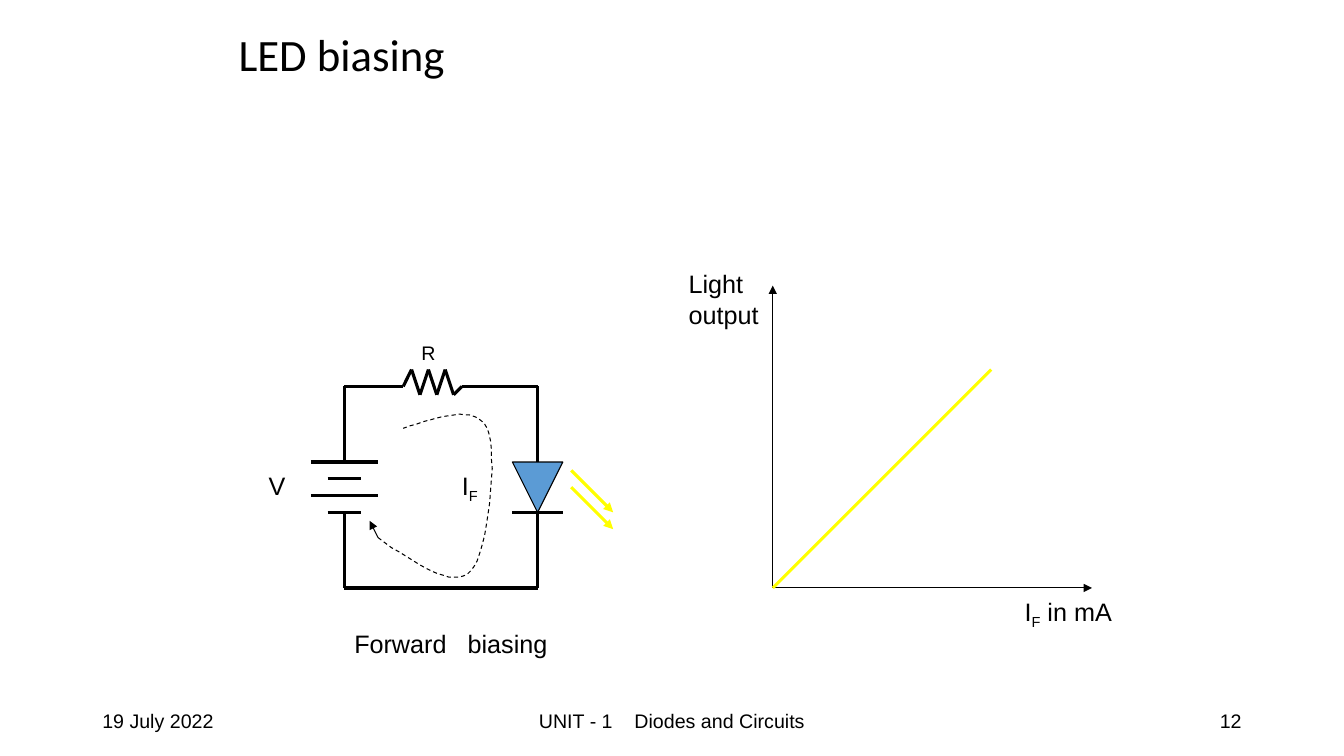
from itertools import pairwise
from pptx import Presentation, util as u
from pptx.dml.color import RGBColor
from pptx.enum import dml, shapes, text
from pptx.oxml.ns import qn
from lxml import etree

# Content: lengths in px, 120 px to the inch
PX = 7620
INK = {"black": "000000", "blue": "5B9BD5", "yellow": "FFFF00"}
TITLE = "LED biasing"

# Each path is a chain of points joined by straight wires
ZIGZAG = [(490 + 10 * i, 470 if i % 2 else 440) for i in range(6)]
WIRES = [
    [(410, 550), (410, 460), (480, 460), *ZIGZAG, (550, 460), (640, 460), (640, 550)],
    [(410, 610), (410, 700), (640, 700), (640, 610)],
    [(610, 610), (670, 610)],
]
PLATES = [(550, 40), (570, 20), (590, 40), (610, 20)]  # y, half width
CELL_X = 410
DIODE = (610, 550, 60, 60)
RAYS = [560, 580]  # y where each light ray starts

LOOP = [(450, 640), (494, 671), (539, 702), (560, 680), (582, 659),
        (593, 539), (580, 510), (566, 481), (523, 496), (480, 510)]
TIP = [(450, 640), (440, 620)]

ORIGIN, X_END, Y_END, PLOT_END = (920, 700), (1300, 700), (920, 340), (1180, 440)

# Box, size, wrap, alignment, anchor, paragraphs; every second part is a subscript
LEFT, MID, RIGHT = text.PP_ALIGN.LEFT, text.PP_ALIGN.CENTER, text.PP_ALIGN.RIGHT
TOP, HALF = text.MSO_ANCHOR.TOP, text.MSO_ANCHOR.MIDDLE
LABELS = [
    ((538, 554, 44, 48), 18, False, LEFT, TOP, [("I", "F")]),
    ((490, 400, 50, 40), 14, True, LEFT, TOP, [("R",)]),
    ((410, 742, 254, 48), 18, False, LEFT, TOP, [("Forward   biasing",)]),
    ((308, 554, 44, 48), 18, False, LEFT, TOP, [("V",)]),
    ((1208, 704, 130, 48), 18, False, LEFT, TOP, [("I", "F", " in mA")]),
    ((808, 314, 108, 84), 18, False, LEFT, TOP, [("Light",), ("output",)]),
    ((110, 834, 360, 48), 14, True, LEFT, HALF, [("19 July 2022",)]),
    ((1130, 834, 360, 48), 14, True, RIGHT, HALF, [("12",)]),
    ((530, 834, 540, 48), 14, True, MID, HALF, [("UNIT - 1    Diodes and Circuits",)]),
]

deck = Presentation()
deck.slide_width, deck.slide_height = 1600 * PX, 900 * PX
slide = deck.slides.add_slide(deck.slide_layouts[5])


def emu(nums):
    return [n * PX for n in nums]


def rgb(name):
    return RGBColor.from_string(INK[name])


def pen(line, ink, width):
    line.color.rgb = rgb(ink)
    line.width = u.Pt(width)


def draw(start, end, ink="black", width=2.25, arrow=False):
    link = slide.shapes.add_connector(
        shapes.MSO_CONNECTOR.STRAIGHT, *emu(start), *emu(end))
    pen(link.line, ink, width)
    if arrow:
        etree.SubElement(link.line._get_or_add_ln(), qn("a:tailEnd"), type="triangle")
    etree.SubElement(link._element.spPr, qn("a:effectLst"))


def curve(pts, steps=16):
    """Points along a chain of cubic Bezier arcs."""
    dots = [pts[0]]
    for i in range(0, len(pts) - 1, 3):
        a, b, c, d = pts[i:i + 4]
        for k in range(1, steps + 1):
            t = k / steps
            s = 1 - t
            dots.append(tuple(
                s**3 * a[j] + 3 * s * s * t * b[j] + 3 * s * t * t * c[j] + t**3 * d[j]
                for j in (0, 1)))
    return dots


def label(box, size, wrap, align, anchor, paras):
    frame = slide.shapes.add_textbox(*emu(box)).text_frame
    frame.word_wrap = wrap
    frame.vertical_anchor = anchor
    for i, parts in enumerate(paras):
        para = frame.add_paragraph() if i else frame.paragraphs[0]
        para.alignment = align
        para.font.name, para.font.size = "Arial", u.Pt(size)
        para.font.color.rgb = rgb("black")
        for j, part in enumerate(parts):
            run = para.add_run()
            run.text = part
            if j % 2:
                run._r.get_or_add_rPr().set("baseline", "-25000")


# Title
head = slide.shapes.title
head.left, head.top, head.width, head.height = emu((260, 20, 1080, 96))
frame = head.text_frame
frame.text = TITLE
frame.auto_size = text.MSO_AUTO_SIZE.NONE
frame.vertical_anchor = HALF
frame.margin_left = 24 * PX
para = frame.paragraphs[0]
para.alignment, para.line_spacing = LEFT, 0.9
para.font.name, para.font.size = "Calibri", u.Pt(32)
para.font.color.rgb = rgb("black")

# Diode
diode = slide.shapes.add_shape(shapes.MSO_SHAPE.FLOWCHART_EXTRACT, *emu(DIODE))
diode.rotation = 180
diode.shadow.inherit = False
diode.fill.solid()
diode.fill.fore_color.rgb = rgb("blue")
pen(diode.line, "black", 0.75)

# Circuit wires and battery
for chain in WIRES:
    for start, end in pairwise(chain):
        draw(start, end)
for y, half in PLATES:
    draw((CELL_X - half, y), (CELL_X + half, y))

# Current loop
dots = curve(LOOP)
form = slide.shapes.build_freeform(*dots[0], scale=PX)
form.add_line_segments(dots[1:], close=False)
loop = form.convert_to_shape()
loop.shadow.inherit = False
loop.fill.background()
pen(loop.line, "black", 0.75)
loop.line.dash_style = dml.MSO_LINE.DASH
draw(*TIP, width=0.75, arrow=True)

# Light rays
for y in RAYS:
    draw((680, y), (730, y + 50), "yellow", arrow=True)

# Graph
for end in (X_END, Y_END):
    draw(ORIGIN, end, width=0.75, arrow=True)
draw(ORIGIN, PLOT_END, "yellow")

# Labels and footer
for item in LABELS:
    label(*item)

deck.save("out.pptx")
